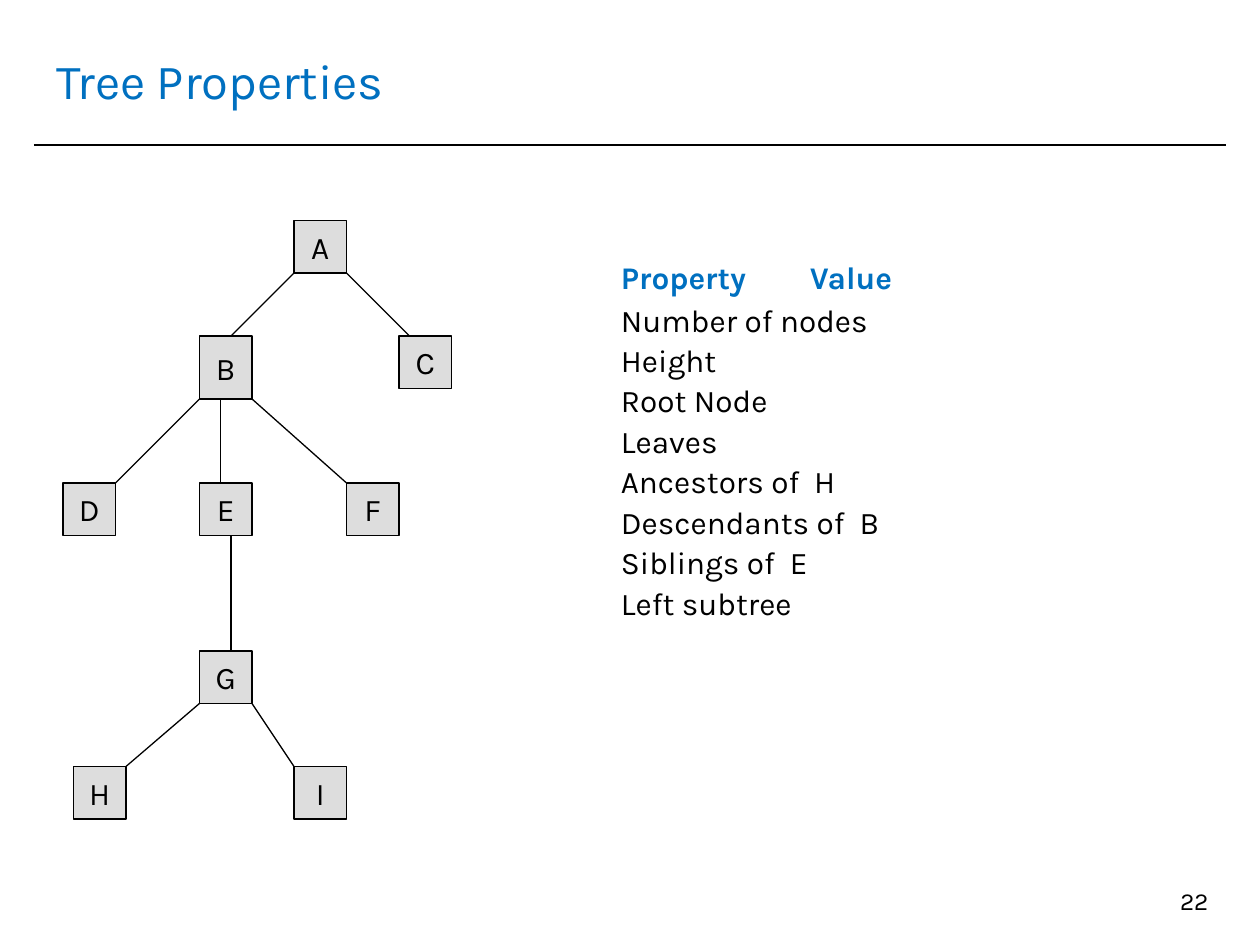
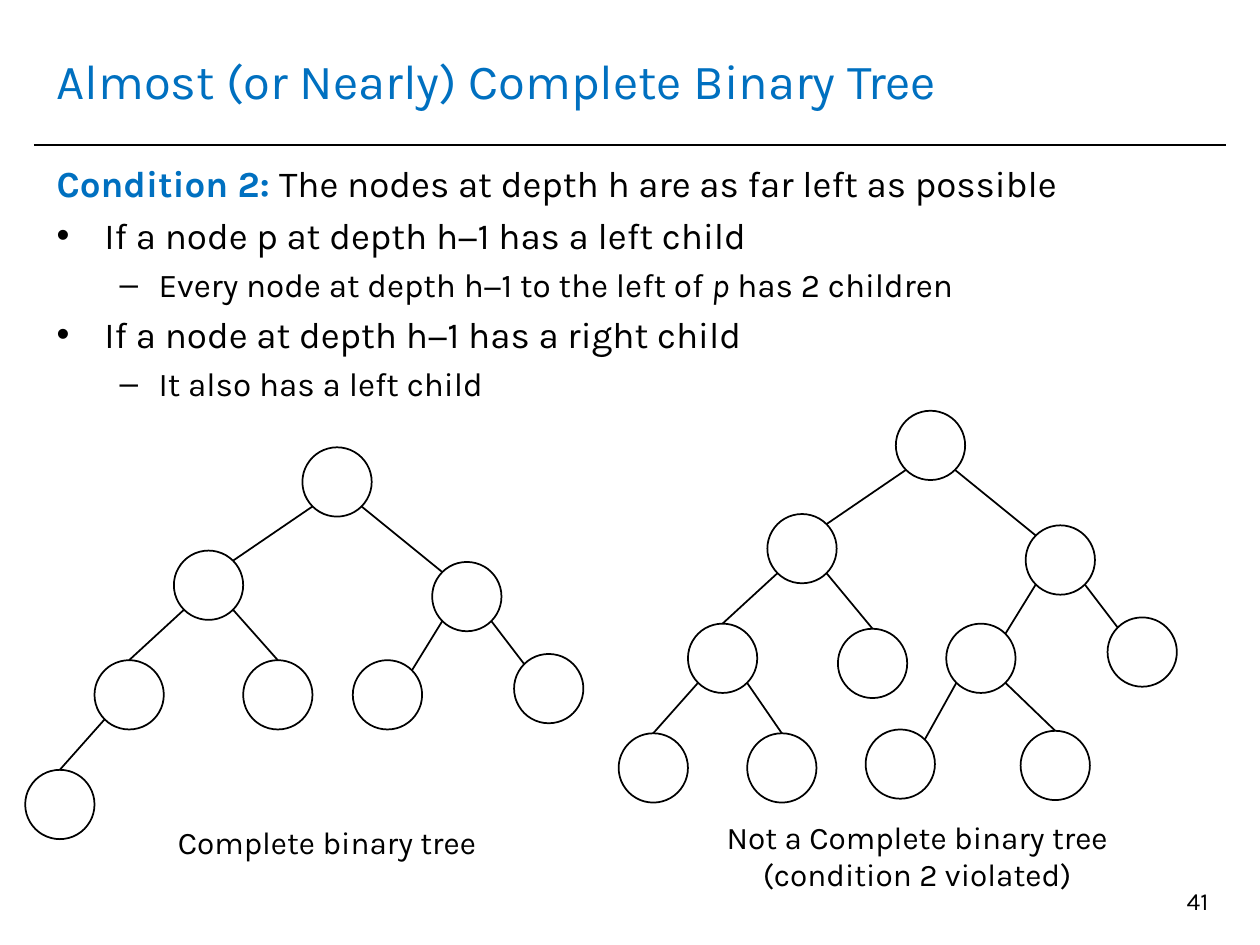
"""Build two lecture slides about tree properties and almost complete binary trees."""
from dataclasses import dataclass
from math import sqrt

from lxml.etree import SubElement
from pptx import Presentation
from pptx.dml.color import RGBColor as Rgb
from pptx.enum.shapes import MSO_CONNECTOR as Link, MSO_SHAPE as Preset
from pptx.enum.text import MSO_ANCHOR as Anchor, PP_ALIGN as Align
from pptx.oxml.ns import qn
from pptx.util import Inches, Pt


@dataclass(frozen=True)
class Theme:
    """Colours, font, type sizes and line widths shared by the slides."""
    font: str = "Karla"
    accent: Rgb = Rgb(0x00, 0x70, 0xC0)
    ink: Rgb = Rgb(0, 0, 0)
    node: Rgb = Rgb(0xDD, 0xDD, 0xDD)
    title: float = 28
    point: float = 21
    subpoint: float = 19
    label: float = 18
    number: float = 14
    thin: float = 0.75
    rule: float = 1


THEME = Theme()
WIDTH, HEIGHT = Inches(10), Inches(7.5)
CELL = Inches(1) // 12
NODE_CELLS = 5
CIRCLE = Inches(0.55)

BOXES = {"A": (28, 21), "B": (19, 32), "C": (38, 32), "D": (6, 46), "E": (19, 46),
         "F": (33, 46), "G": (19, 62), "H": (7, 73), "I": (28, 73)}
TALL_BOXES = {"B": 6}
BRANCHES = [("A", 0, "B", 3), ("A", 5, "C", 1), ("B", 0, "D", 5), ("B", 2, "E", 2),
            ("B", 5, "F", 0), ("E", 3, "G", 3), ("G", 0, "H", 5), ("G", 5, "I", 0)]
PROPERTIES = ["Number of nodes", "Height", "Root Node", "Leaves", "Ancestors of  H",
              "Descendants of  B", "Siblings of  E", "Left subtree"]

COMPLETE = {"": (0, 0), "L": (-10.2, 10.93), "R": (10.3, 12.13), "LL": (-16.5, 22.53),
            "LR": (-4.7, 22.53), "RL": (4, 22.53), "RR": (16.8, 21.87),
            "LLL": (-22, 34.13)}
INCOMPLETE = COMPLETE | {"LR": (-4.6, 23.07), "LLR": (-11.8, 34.13),
                         "RLL": (-2.4, 33.73), "RLR": (9.9, 33.87)}
JOINED_AT_TOP = {"LL", "LR", "LLL", "LLR", "RLR"}

CONDITION = [
    (0, [("Condition 2: ", "bold"),
         ("The nodes at depth h are as far left as possible", "")]),
    (1, [("If a node p at depth h−1 has a left child", "")]),
    (2, [("Every node at depth h−1 to the left of ", ""), ("p", "italic"),
         (" has 2 children", "")]),
    (1, [("If a node at depth h−1 has a right child", "")]),
    (2, [("It also has a left child", "")]),
]
BULLETS = {1: ("•", 0.38, 0.38), 2: ("–", 0.81, 0.31)}


def share(across, down):
    """Turn percentages of the slide's width and height into lengths."""
    return round(WIDTH * across / 100), round(HEIGHT * down / 100)


def style(run, size, color=THEME.ink, bold=False, italic=False):
    """Give a run the theme font with its size, colour and emphasis."""
    font = run.font
    font.name, font.size, font.color.rgb = THEME.font, Pt(size), color
    font.bold, font.italic = bold, italic


def add_text(slide, place, lines, size, color=THEME.ink, align=Align.LEFT,
             anchor=Anchor.TOP):
    """Add a wrapped text box with one paragraph per line."""
    left, top, width, height = place
    frame = slide.shapes.add_textbox(*share(left, top), *share(width, height)).text_frame
    frame.word_wrap = True
    frame.vertical_anchor = anchor
    frame.text = "\n".join(lines)
    for paragraph in frame.paragraphs:
        paragraph.alignment = align
        for run in paragraph.runs:
            style(run, size, color)
    return frame


def add_line(slide, start, end, weight):
    """Draw a straight black line between two points."""
    line = slide.shapes.add_connector(Link.STRAIGHT, *start, *end)
    line.line.color.rgb, line.line.width = THEME.ink, Pt(weight)
    SubElement(line._element.spPr, qn("a:effectLst"))
    return line


def add_outline(slide, preset, place, weight, fill=None):
    """Add a black-edged preset shape, filled or hollow."""
    shape = slide.shapes.add_shape(preset, *place)
    shape.shadow.inherit = False
    shape.line.color.rgb, shape.line.width = THEME.ink, Pt(weight)
    if fill is None:
        shape.fill.background()
    else:
        shape.fill.solid()
        shape.fill.fore_color.rgb = fill
    return shape


def add_page(deck, title, number):
    """Add a blank slide with the title, its rule and the page number."""
    slide = deck.slides.add_slide(deck.slide_layouts[6])
    add_line(slide, share(2.7, 15.33), share(97.3, 15.33), THEME.rule)
    add_text(slide, (3.5, 2.8, 92.9, 11.33), [title], THEME.title, THEME.accent,
             anchor=Anchor.MIDDLE)
    add_text(slide, (73.6, 93.07, 23.3, 6.93), [number], THEME.number, align=Align.RIGHT)
    return slide


def add_lettered_tree(slide):
    """Draw the lettered boxes on the cell grid and the branches between them."""
    for letter, (column, row) in BOXES.items():
        rows = TALL_BOXES.get(letter, NODE_CELLS)
        place = [cells * CELL for cells in (column, row, NODE_CELLS, rows)]
        box = add_outline(slide, Preset.RECTANGLE, place, THEME.thin, THEME.node)
        frame = box.text_frame
        frame.word_wrap = False
        frame.vertical_anchor = Anchor.MIDDLE
        frame.text = letter
        frame.paragraphs[0].alignment = Align.CENTER
        style(frame.paragraphs[0].runs[0], THEME.label)
    for parent, leave, child, arrive in BRANCHES:
        (column, row), (child_column, child_row) = BOXES[parent], BOXES[child]
        bottom = row + TALL_BOXES.get(parent, NODE_CELLS)
        add_line(slide, ((column + leave) * CELL, bottom * CELL),
                 ((child_column + arrive) * CELL, child_row * CELL), THEME.thin)


def add_property_list(slide):
    """Write the property heading and the tightly spaced list below it."""
    frame = add_text(slide, (48.3, 26.67, 45, 42.8), ["Property\t\tValue", *PROPERTIES],
                     THEME.label)
    heading, *entries = frame.paragraphs
    for run in heading.runs:
        style(run, THEME.label, THEME.accent, bold=True)
    for entry in entries:
        entry.line_spacing, entry.space_before = 0.6, Pt(10.2)


def add_bullet(paragraph, level):
    """Give a paragraph the hanging indent and black bullet of its level."""
    mark, margin, hang = BULLETS[level]
    props = paragraph._p.get_or_add_pPr()
    props.set("marL", str(Inches(margin)))
    props.set("indent", str(-Inches(hang)))
    color = SubElement(props, qn("a:buClr"))
    SubElement(color, qn("a:srgbClr"), val=str(THEME.ink))
    SubElement(props, qn("a:buFont"), typeface="Arial")
    SubElement(props, qn("a:buChar"), char=mark)


def add_condition(slide):
    """Write the condition and its two levels of bullets."""
    frame = add_text(slide, (3.5, 16.4, 92.9, 74.53), [""], THEME.point)
    for index, (level, pieces) in enumerate(CONDITION):
        paragraph = frame.add_paragraph() if index else frame.paragraphs[0]
        paragraph.space_before = Pt(4.3) if index else Pt(0)
        if level:
            add_bullet(paragraph, level)
        size = THEME.subpoint if level == 2 else THEME.point
        for words, emphasis in pieces:
            run = paragraph.add_run()
            run.text = words
            bold = emphasis == "bold"
            style(run, size, THEME.accent if bold else THEME.ink, bold,
                  emphasis == "italic")


def rim(center, across, down):
    """Find the diagonal point on a circle's rim, with signs for its direction."""
    reach = CIRCLE / 2 / sqrt(2)
    return round(center[0] + across * reach), round(center[1] + down * reach)


def add_circle_tree(slide, root, offsets):
    """Draw circles keyed by their left and right turns from the root."""
    centers = {turns: share(root[0] + across, root[1] + down)
               for turns, (across, down) in offsets.items()}
    circles = {turns: add_outline(slide, Preset.OVAL,
                                  (x - CIRCLE // 2, y - CIRCLE // 2, CIRCLE, CIRCLE),
                                  THEME.rule)
               for turns, (x, y) in centers.items()}
    for turns in filter(None, centers):
        side = -1 if turns[-1] == "L" else 1
        branch = add_line(slide, rim(centers[turns[:-1]], side, 1),
                          rim(centers[turns], -side, -1), THEME.rule)
        if turns in JOINED_AT_TOP:
            branch.end_connect(circles[turns], 0)


def main():
    """Build both slides and save the deck."""
    deck = Presentation()
    deck.slide_width, deck.slide_height = WIDTH, HEIGHT

    properties = add_page(deck, "Tree Properties", "22")
    add_lettered_tree(properties)
    add_property_list(properties)

    nearly = add_page(deck, "Almost (or Nearly) Complete Binary Tree", "41")
    add_condition(nearly)
    add_circle_tree(nearly, (26.75, 51), COMPLETE)
    add_circle_tree(nearly, (73.85, 47.13), INCOMPLETE)
    add_text(nearly, (8.7, 86.4, 34.5, 5.33), ["Complete binary tree"], THEME.label,
             align=Align.CENTER)
    add_text(nearly, (53.1, 85.87, 39.4, 9.47),
             ["Not a Complete binary tree", "(condition 2 violated)"], THEME.label,
             align=Align.CENTER)
    deck.save("out.pptx")


if __name__ == "__main__":
    main()
